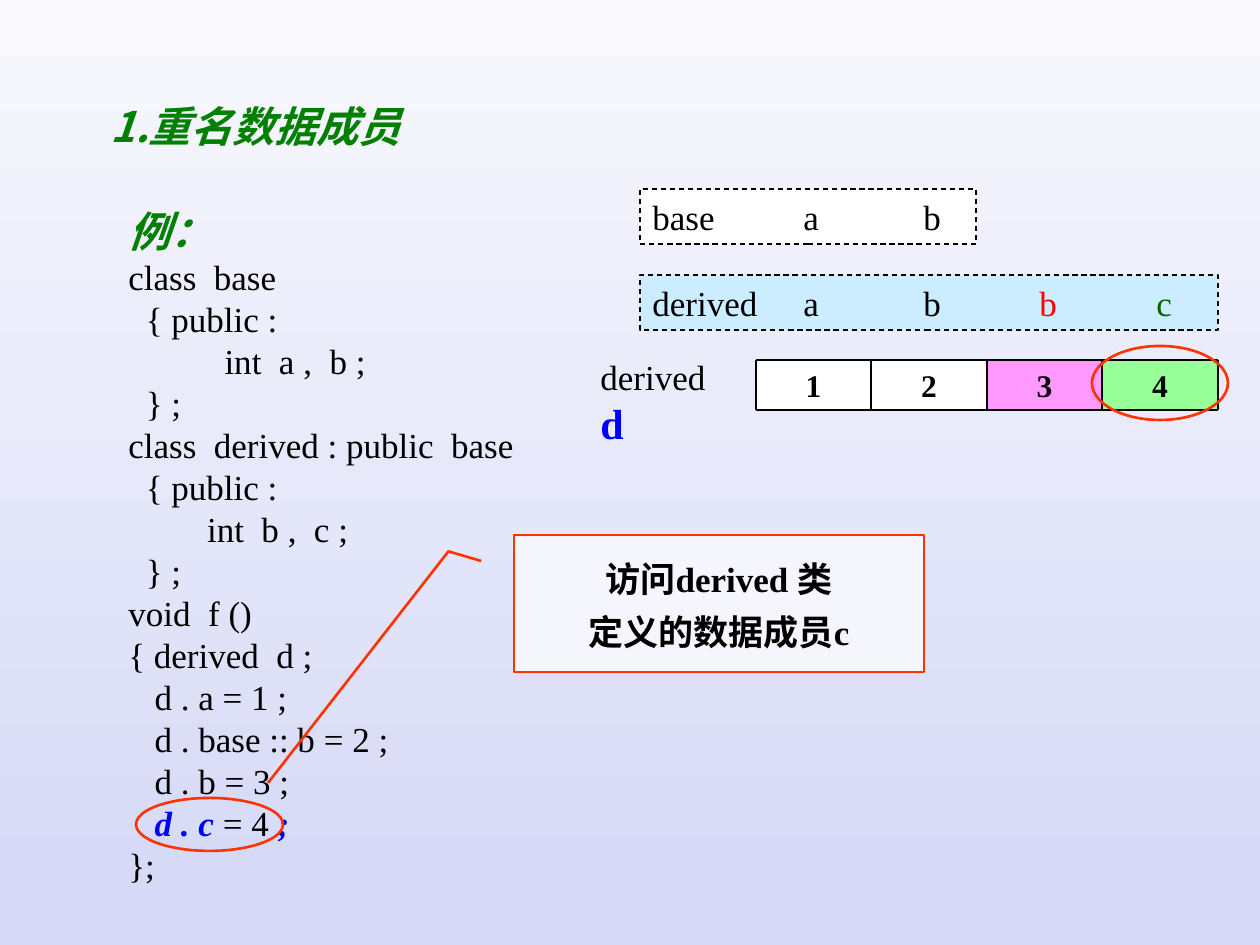
import pptx
import pptx.dml.color
import pptx.enum.dml
import pptx.enum.shapes
import pptx.enum.text
import pptx.oxml.ns
import pptx.util
from dataclasses import dataclass
from lxml import etree

PX = 914400 // 126
SERIF, CJK = "Times New Roman", "Noto Sans CJK SC"
SHAPE = pptx.enum.shapes.MSO_SHAPE
ALIGN = pptx.enum.text.PP_ALIGN
COLORS = {
    "top": "F8F8FD", "bottom": "D5D8F6", "black": "000000", "white": "FFFFFF",
    "green": "008000", "dark_green": "006600", "blue": "0000FF", "red": "FF0000",
    "orange": "FF3300", "note": "F5F6FD", "sky": "CCECFF", "pink": "FF99FF",
    "lime": "99FF99",
}


@dataclass(frozen=True)
class Run:
    text: str
    size: int = 20
    color: str = "black"
    bold: bool = False
    italic: bool = False
    font: str = SERIF


@dataclass(frozen=True)
class Para:
    runs: tuple[Run, ...]
    fmt: tuple[tuple[str, object], ...] = ()
    tabs: tuple[int, ...] = ()


@dataclass(frozen=True)
class Box:
    x: int
    y: int
    w: int
    h: int
    paras: tuple[Para, ...] = ()
    fill: str | None = None
    line: str | None = None
    width: float = 1.5
    dash: bool = False
    shape: SHAPE = SHAPE.RECTANGLE
    adjust: tuple[float, ...] = ()
    wrap: bool = True


def rgb(name: str) -> pptx.dml.color.RGBColor:
    return pptx.dml.color.RGBColor.from_string(COLORS[name])


def set_all(obj, values: dict) -> None:
    for name, value in values.items():
        setattr(obj, name, value)


def add_tabs(p, stops: tuple[int, ...]) -> None:
    qn = pptx.oxml.ns.qn
    tabs = etree.SubElement(p._p.get_or_add_pPr(), qn("a:tabLst"))
    for stop in stops:
        etree.SubElement(tabs, qn("a:tab"), pos=str(stop * PX), algn="l")


def write(tf, paras: tuple[Para, ...], wrap: bool) -> None:
    set_all(tf, {"word_wrap": wrap,
                 "vertical_anchor": pptx.enum.text.MSO_ANCHOR.TOP})
    for i, para in enumerate(paras):
        p = tf.add_paragraph() if i else tf.paragraphs[0]
        if para.tabs:
            add_tabs(p, para.tabs)
        set_all(p, {"alignment": ALIGN.LEFT} | dict(para.fmt))
        for run in para.runs:
            r = p.add_run()
            r.text = run.text
            set_all(r.font, {"name": run.font, "size": pptx.util.Pt(run.size),
                             "bold": run.bold, "italic": run.italic})
            r.font.color.rgb = rgb(run.color)
            etree.SubElement(r.font._element, pptx.oxml.ns.qn("a:ea"), typeface=CJK)


def add_box(s, box: Box) -> None:
    """Draw a plain text box, or a preset shape when it has a fill or a line."""
    place = [v * PX for v in (box.x, box.y, box.w, box.h)]
    if not (box.fill or box.line):
        write(s.shapes.add_textbox(*place).text_frame, box.paras, box.wrap)
        return
    sp = s.shapes.add_shape(box.shape, *place)
    sp.shadow.inherit = False
    for i, value in enumerate(box.adjust):
        sp.adjustments[i] = value
    if box.fill:
        sp.fill.solid()
        sp.fill.fore_color.rgb = rgb(box.fill)
    else:
        sp.fill.background()
    if box.line:
        sp.line.color.rgb = rgb(box.line)
        sp.line.width = pptx.util.Pt(box.width)
        if box.dash:
            sp.line.dash_style = pptx.enum.dml.MSO_LINE.DASH
    else:
        sp.line.fill.background()
    write(sp.text_frame, box.paras, box.wrap)


def add_line(s, x1: int, y1: int, x2: int, y2: int) -> None:
    cx = s.shapes.add_connector(pptx.enum.shapes.MSO_CONNECTOR.STRAIGHT,
                                x1 * PX, y1 * PX, x2 * PX, y2 * PX)
    cx.line.color.rgb = rgb("black")
    cx.line.width = pptx.util.Pt(1)
    etree.SubElement(cx._element.spPr, pptx.oxml.ns.qn("a:effectLst"))


CENTER = (("alignment", ALIGN.CENTER),)
CODE = """class  base
  { public :
           int  a ,  b ;
  } ;
class  derived : public  base
  { public :
         int  b ,  c ;
  } ;
void  f ()
{ derived  d ;
   d . a = 1 ;
   d . base :: b = 2 ;
   d . b = 3 ;""".split("\n")
ACCENT = {"color": "blue", "bold": True, "italic": True}
LISTING = (
    Para((Run("例：", 24, "green", True, True),)),
    *(Para((Run(line),)) for line in CODE),
    Para((Run("   "), Run("d . c ", **ACCENT), Run("= 4"), Run(" ;", **ACCENT))),
    Para((Run("};"),)),
)
NOTE = (
    Para((Run("访问derived 类", bold=True),), CENTER + (("line_spacing", 1.4),)),
    Para((Run("定义的数据成员c", bold=True),),
         CENTER + (("line_spacing", 0.7), ("space_before", pptx.util.Pt(12.5)))),
)
MEMBER_TABS = (151, 271, 387, 504)
BASE = Para((Run("base\ta\tb"),), tabs=MEMBER_TABS)
DERIVED = Para((Run("derived\ta\tb\t"), Run("b\t", color="red"),
                Run("c", color="dark_green")), tabs=MEMBER_TABS)
OBJECT = Para((Run("derived"), Run(" ", 18), Run("d", 24, "blue", True)))
TITLE = Para((Run("1.重名数据成员", 24, "green", True, True, CJK),), CENTER)

BACK = (
    Box(116, 199, 494, 693, LISTING),
    Box(136, 798, 147, 53, line="orange", shape=SHAPE.OVAL),
    Box(514, 535, 410, 137, NOTE, "note", "orange", shape=SHAPE.LINE_CALLOUT_2,
        adjust=(0.19, -0.08, 0.12, -0.16, 1.81, -0.6)),
    Box(640, 189, 336, 55, (BASE,), "white", "black", 0.75, True),
)
FRONT = (
    Box(588, 349, 161, 63, (OBJECT,), wrap=False),
    Box(640, 275, 578, 55, (DERIVED,), "sky", "black", 0.75, True),
    Box(1092, 346, 136, 74, line="orange", shape=SHAPE.OVAL),
    Box(94, 94, 323, 63, (TITLE,)),
)
CELL_FILLS = ("white", "white", "pink", "lime")
LEFT, RIGHT, TOP, BOTTOM = 756, 1218, 360, 410


def add_memory_row(s) -> None:
    """Draw the members of object d as ruled, numbered cells."""
    n = len(CELL_FILLS)
    edges = [LEFT + (RIGHT - LEFT) * i // n for i in range(n + 1)]
    for i, fill in enumerate(CELL_FILLS):
        value = Para((Run(str(i + 1), 18, bold=True),), CENTER)
        add_box(s, Box(edges[i], TOP, edges[i + 1] - edges[i], BOTTOM - TOP,
                       (value,), fill))
    for x in edges:
        add_line(s, x, TOP, x, BOTTOM)
    for y in (TOP, BOTTOM):
        add_line(s, LEFT, y, RIGHT, y)


def main() -> None:
    prs = pptx.Presentation()
    set_all(prs, {"slide_width": 1260 * PX, "slide_height": 945 * PX})
    s = prs.slides.add_slide(prs.slide_layouts[6])
    bg = s.background.fill
    bg.gradient()
    bg.gradient_angle = 270
    for stop, name in zip(bg.gradient_stops, ("top", "bottom")):
        stop.color.rgb = rgb(name)
    for box in BACK:
        add_box(s, box)
    add_memory_row(s)
    for box in FRONT:
        add_box(s, box)
    prs.save("out.pptx")


if __name__ == "__main__":
    main()
